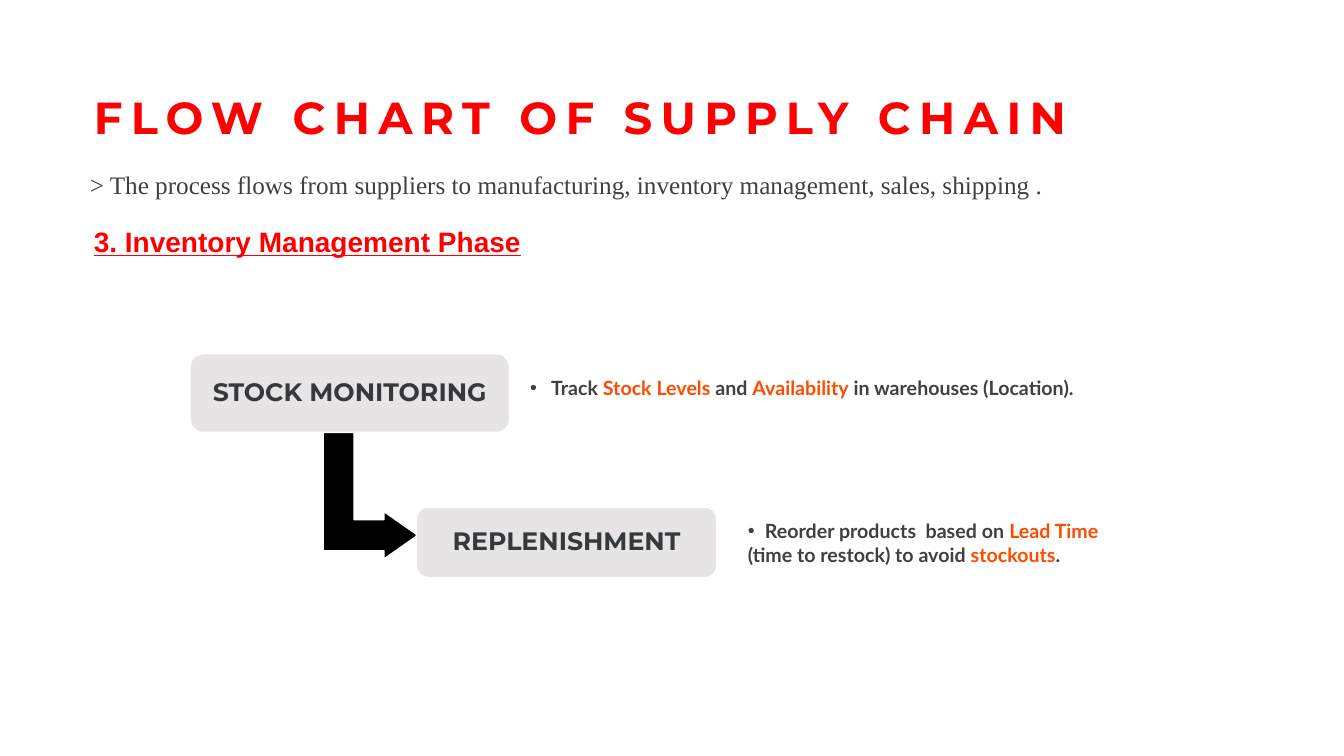
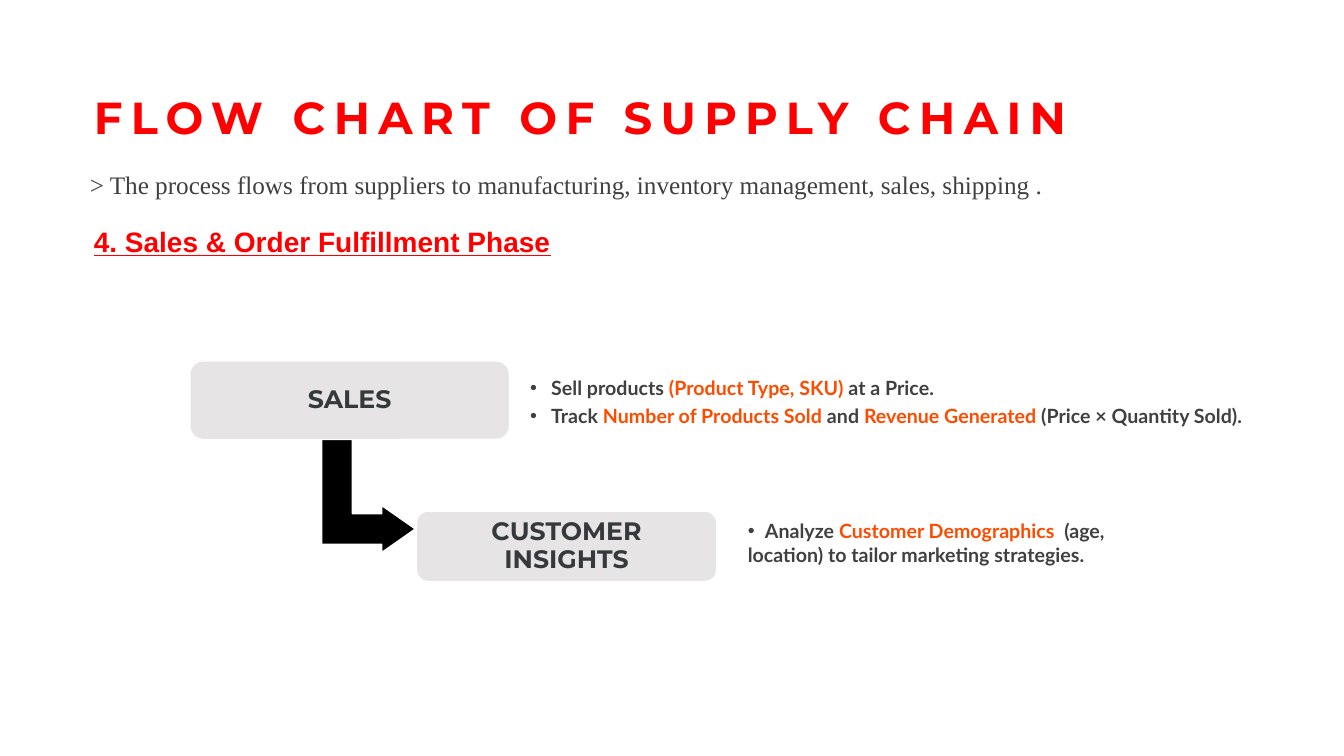
from dataclasses import dataclass
from typing import NamedTuple

from lxml import etree
from pptx import Presentation
from pptx import util as u
from pptx.dml.color import RGBColor
from pptx.enum import shapes, text
from pptx.oxml import ns


@dataclass(frozen=True)
class Theme:
    red: str = "FF0000"
    gray: str = "404040"
    ink: str = "36393B"
    hot: str = "FD4C00"
    pale: str = "E7E4E6"
    white: str = "FFFFFF"
    black: str = "000000"
    head: int = 32
    sub: int = 20
    text: int = 18
    note: int = 14


class Area(NamedTuple):
    col: float
    row: float
    cols: float
    rows: float


class Font(NamedTuple):
    name: str
    size: int
    color: str
    bold: bool = False
    under: bool = False


class Step(NamedTuple):
    label: str
    row: float
    notes: tuple[str, ...]


class Phase(NamedTuple):
    name: str
    first: Step
    second: Step
    bend: Area


WIDE, HIGH = u.Inches(13.33), u.Inches(7.5)
COL, ROW = WIDE / 100, HIGH / 100
T = Theme()
HEAD = Font("Montserrat", T.head, T.red, True)
LEAD = Font("Times New Roman", T.text, T.gray)
SUB = Font("Arial", T.sub, T.red, True, True)
LABEL = Font("Montserrat", T.text, T.ink, True)
NOTE = Font("Lato", T.note, T.gray, True)

TITLE = "FLOW CHART OF SUPPLY CHAIN"
INTRO = ("> The process flows from suppliers to manufacturing, "
         "inventory management, sales, shipping .")
PHASES = (
    Phase(
        "3. Inventory Management Phase",
        Step("STOCK MONITORING", 46.8,
             ("Track *Stock Levels* and *Availability* in warehouses (Location).",)),
        Step("REPLENISHMENT", 67.07,
             ("Reorder products  based on *Lead Time* (time to restock) to avoid *stockouts*.",)),
        Area(22.8, 59.2, 9.53, 12.53),
    ),
    Phase(
        "4. Sales & Order Fulfillment Phase",
        Step("SALES", 47.73,
             ("Sell products *(Product Type, SKU)* at a Price.",
              "Track *Number of Products Sold* and *Revenue Generated* (Price × Quantity Sold).")),
        Step("CUSTOMER INSIGHTS", 67.6,
             ("Analyze *Customer Demographics*  (age, location) to tailor marketing strategies.",)),
        Area(22.65, 58.4, 9.53, 12.4),
    ),
)


def rect(area: Area) -> tuple[int, int, int, int]:
    return (round(area.col * COL), round(area.row * ROW),
            round(area.cols * COL), round(area.rows * ROW))


def place(shape, area: Area) -> None:
    shape.left, shape.top, shape.width, shape.height = rect(area)


def style(para, font: Font) -> None:
    face = para.font
    face.name, face.size = font.name, u.Pt(font.size)
    face.bold, face.underline = font.bold, font.under
    face.color.rgb = RGBColor.from_string(font.color)


def inset(frame, left: float, top: float, right: float, foot: float) -> None:
    frame.word_wrap = True
    frame.auto_size = text.MSO_AUTO_SIZE.NONE
    frame.margin_left, frame.margin_top = u.Inches(left), u.Inches(top)
    frame.margin_right, frame.margin_bottom = u.Inches(right), u.Inches(foot)


def line(shape, words: str, font: Font, lead: float, after: int = 0) -> None:
    para = shape.text_frame.paragraphs[0]
    para.text = words
    para.alignment = text.PP_ALIGN.LEFT
    para.line_spacing = lead
    para.space_before, para.space_after = u.Pt(0), u.Pt(after)
    props = para._p.get_or_add_pPr()
    props.set("marL", "0")
    props.set("indent", "0")
    etree.SubElement(props, ns.qn("a:buNone"))
    style(para, font)


def header(slide, name: str) -> None:
    title, body = slide.shapes.title, slide.placeholders[1]
    place(title, Area(6.98, 0, 83.03, 19.07))
    inset(title.text_frame, 0, 0, 0, 0)
    title.text_frame.vertical_anchor = text.MSO_ANCHOR.BOTTOM
    line(title, TITLE, HEAD, 0.9)
    run = title.text_frame.paragraphs[0].runs[0]
    run._r.get_or_add_rPr().set("spc", "600")
    place(body, Area(6.68, 20.93, 83.03, 8.67))
    sub = slide.shapes.add_textbox(*rect(Area(6.98, 28.13, 83.03, 8.67)))
    for box, words, font in ((body, INTRO, LEAD), (sub, name, SUB)):
        inset(box.text_frame, 0, 0.05, 0.1, 0.05)
        line(box, words, font, 1.2, 12)


def solid(slide, kind, area: Area, fill: str):
    shape = slide.shapes.add_shape(kind, *rect(area))
    shape.shadow.inherit = False
    shape.fill.solid()
    shape.fill.fore_color.rgb = RGBColor.from_string(fill)
    shape.line.color.rgb = RGBColor.from_string(T.white)
    shape.line.width = u.Pt(1)
    return shape


def card(slide, words: str, area: Area) -> None:
    shape = solid(slide, shapes.MSO_SHAPE.ROUNDED_RECTANGLE, area, T.pale)
    frame = shape.text_frame
    inset(frame, 0.1, 0.07, 0.1, 0.07)
    frame.vertical_anchor = text.MSO_ANCHOR.MIDDLE
    para = frame.paragraphs[0]
    para.text = words
    para.alignment = text.PP_ALIGN.CENTER
    para.line_spacing = 0.9
    style(para, LABEL)


def arrow(slide, area: Area) -> None:
    shape = solid(slide, shapes.MSO_SHAPE.BENT_UP_ARROW, area, T.black)
    shape.rotation = 90
    for i, value in enumerate((0.328, 0.25, 0.358)):
        shape.adjustments[i] = value


def bullets(slide, notes: tuple[str, ...], area: Area, gap: float, hang: bool) -> None:
    frame = slide.shapes.add_textbox(*rect(area)).text_frame
    inset(frame, 0.1, 0.05, 0.1, 0.05)
    for i, note in enumerate(notes):
        para = frame.paragraphs[0] if i == 0 else frame.add_paragraph()
        para.space_before = u.Pt(3 if i else 0)
        props = para._p.get_or_add_pPr()
        props.set("marL", str(u.Inches(gap) if hang else 0))
        props.set("indent", str(-u.Inches(gap) if hang else 0))
        etree.SubElement(props, ns.qn("a:buFont"), typeface="Arial")
        etree.SubElement(props, ns.qn("a:buChar"), char="•")
        if not hang:
            tabs = etree.SubElement(props, ns.qn("a:tabLst"))
            etree.SubElement(tabs, ns.qn("a:tab"), pos=str(u.Inches(gap)), algn="l")
        style(para, NOTE)
        words = note if hang else "\t" + note
        for j, part in enumerate(words.split("*")):
            run = para.add_run()
            run.text = part
            if j % 2:
                run.font.color.rgb = RGBColor.from_string(T.hot)


def build(deck, phase: Phase) -> None:
    slide = deck.slides.add_slide(deck.slide_layouts[1])
    header(slide, phase.name)
    arrow(slide, phase.bend)
    card(slide, phase.first.label, Area(14.13, phase.first.row, 23.78, 10.4))
    card(slide, phase.second.label, Area(30.98, phase.second.row, 22.35, 9.33))
    bullets(slide, phase.first.notes, Area(38.7, 49.07, 58.13, 11.87), 0.21, True)
    bullets(slide, phase.second.notes, Area(54.9, 68, 29.55, 10.8), 0.17, False)


def main() -> None:
    deck = Presentation()
    deck.slide_width, deck.slide_height = WIDE, HIGH
    for phase in PHASES:
        build(deck, phase)
    deck.save("out.pptx")


if __name__ == "__main__":
    main()
